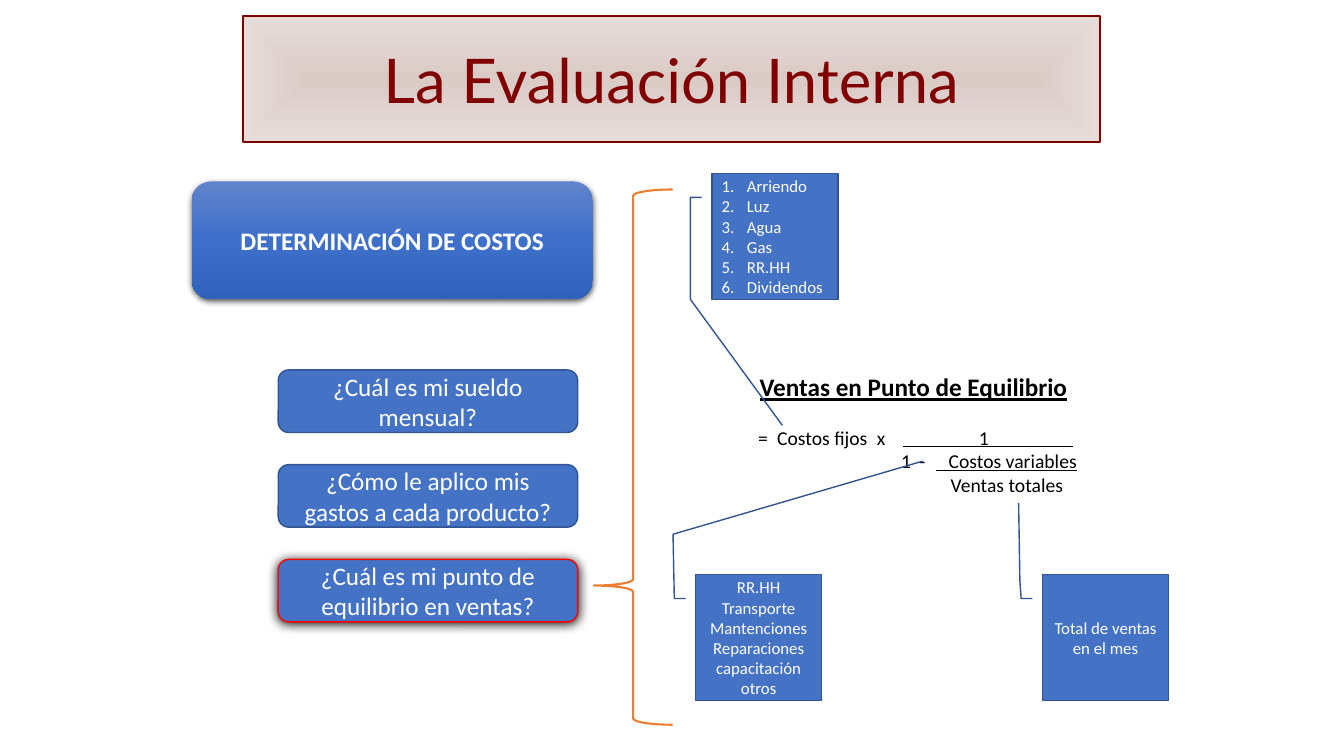
from dataclasses import dataclass
from typing import Optional

from lxml.etree import SubElement
from pptx import Presentation
from pptx.dml.color import RGBColor
from pptx.enum.shapes import MSO_CONNECTOR, MSO_SHAPE
from pptx.enum.text import MSO_ANCHOR, MSO_AUTO_SIZE, PP_ALIGN
from pptx.oxml import parse_xml
from pptx.oxml.ns import nsdecls, qn
from pptx.util import Emu, Inches, Pt


@dataclass(frozen=True)
class Theme:
    blue: str = "4472C4"
    blue_edge: str = "325491"
    red: str = "FF0000"
    maroon: str = "800000"
    orange: str = "ED7D31"
    white: str = "FFFFFF"
    black: str = "000000"
    title_stops: tuple = ((0, "DBCBC7"), (100, "E6DCDA"))
    heading_stops: tuple = ((0, "6183CB"), (50, "3E70CA"), (100, "3062BB"))
    title_font: str = "Lato"
    body_font: str = "Calibri"
    title_size: int = 44
    body_size: int = 18
    formula_size: int = 14
    callout_size: int = 12


@dataclass(frozen=True)
class Shadow:
    opacity: int
    blur: float
    distance: float


@dataclass(frozen=True)
class Question:
    text: str
    edge: str
    shadow: Optional[Shadow] = None


@dataclass(frozen=True)
class Callout:
    left: float
    top: float
    lines: tuple
    pointer: tuple
    numbered: bool = False


@dataclass(frozen=True)
class FormulaRow:
    text: str
    tabs: tuple
    space_before: int = 0


THEME = Theme()
QUESTIONS = (
    Question("¿Cuál es mi sueldo mensual?", THEME.blue_edge),
    Question("¿Cómo le aplico mis gastos a cada producto?", THEME.blue_edge),
    Question("¿Cuál es mi punto de equilibrio en ventas?", THEME.red, Shadow(100, 8.5, 1)),
)
CALLOUTS = (
    Callout(7.06, 1.72, ("Arriendo", "Luz", "Agua", "Gas", "RR.HH", "Dividendos"),
            (1, -0.17, 2, 0.56), numbered=True),
    Callout(6.9, 5.7, ("RR.HH", "Transporte", "Mantenciones", "Reparaciones",
                       "capacitación", "otros"), (-0.32, -0.18, -0.9, 1.8)),
    Callout(10.34, 5.7, ("Total de ventas en el mes",), (0.05, -0.18, -0.57, -0.19)),
)
FORMULA_ROWS = (
    FormulaRow("\t=\tCostos fijos\tx\t1", (0.13, 0.32, 1.31, 2.32), space_before=17),
    FormulaRow("\t1\t-\tCostos variables", (1.55, 1.73, 2.02)),
    FormulaRow("\tVentas totales", (2.04,)),
)
FRACTION_BARS = ((8.96, 10.64, 4.43), (9.28, 10.68, 4.67))


def add_run(paragraph, text: str, size: int, color: str, font: str = THEME.body_font,
            bold: bool = False, underline: bool = False) -> None:
    run = paragraph.add_run()
    run.text = text
    run.font.name, run.font.size = font, Pt(size)
    run.font.bold, run.font.underline = bold, underline
    run.font.color.rgb = RGBColor.from_string(color)


def set_line(line, color: str, width: float = 1) -> None:
    line.color.rgb = RGBColor.from_string(color)
    line.width = Pt(width)


def set_gradient(shape, stops: tuple, direction: str) -> None:
    """Fill with (percent, colour) stops; direction is the a:lin or a:path element."""
    shape.fill.gradient()
    current = shape._element.spPr.find(qn("a:gradFill"))
    stop_xml = "".join(f'<a:gs pos="{percent * 1000}"><a:srgbClr val="{color}"/></a:gs>'
                       for percent, color in stops)
    gradient = parse_xml(f'<a:gradFill {nsdecls("a")} rotWithShape="1">'
                         f"<a:gsLst>{stop_xml}</a:gsLst>{direction}</a:gradFill>")
    current.getparent().replace(current, gradient)


def add_shadow(shape, shadow: Shadow) -> None:
    effects = shape._element.spPr.find(qn("a:effectLst"))
    effects.append(parse_xml(
        f'<a:outerShdw {nsdecls("a")} blurRad="{Pt(shadow.blur)}" dist="{Pt(shadow.distance)}" '
        f'dir="5400000" algn="ctr" rotWithShape="0"><a:srgbClr val="{THEME.black}">'
        f'<a:alpha val="{shadow.opacity * 1000}"/></a:srgbClr></a:outerShdw>'))


def add_box(slide, kind, left: float, top: float, width: float, height: float):
    shape = slide.shapes.add_shape(kind, Inches(left), Inches(top), Inches(width), Inches(height))
    shape.shadow.inherit = False
    shape.fill.solid()
    shape.fill.fore_color.rgb = RGBColor.from_string(THEME.blue)
    set_line(shape.line, THEME.blue_edge)
    shape.text_frame.word_wrap = True
    shape.text_frame.vertical_anchor = MSO_ANCHOR.MIDDLE
    return shape


def add_title(slide) -> None:
    title = slide.shapes.title
    title.left, title.top = Inches(2.41), Inches(0.16)
    title.width, title.height = Inches(8.5), Inches(1.25)
    set_gradient(title, THEME.title_stops, '<a:path path="shape"><a:fillToRect '
                 'l="50000" t="50000" r="50000" b="50000"/></a:path>')
    set_line(title.line, THEME.maroon)
    frame = title.text_frame
    frame.auto_size = MSO_AUTO_SIZE.NONE
    frame.vertical_anchor = MSO_ANCHOR.MIDDLE
    paragraph = frame.paragraphs[0]
    paragraph.alignment = PP_ALIGN.CENTER
    add_run(paragraph, "La Evaluación Interna", THEME.title_size, THEME.maroon, THEME.title_font)


def add_heading(slide) -> None:
    heading = add_box(slide, MSO_SHAPE.ROUNDED_RECTANGLE, 1.9, 1.8, 3.98, 1.17)
    set_gradient(heading, THEME.heading_stops, '<a:lin ang="5400000" scaled="0"/>')
    heading.line.fill.background()
    add_shadow(heading, Shadow(63, 4.5, 1.5))
    paragraph = heading.text_frame.paragraphs[0]
    paragraph.alignment = PP_ALIGN.CENTER
    add_run(paragraph, "DETERMINACIÓN DE COSTOS", THEME.body_size, THEME.white, bold=True)


def add_question(slide, question: Question, top: float) -> None:
    shape = add_box(slide, MSO_SHAPE.ROUNDED_RECTANGLE, 2.76, top, 2.97, 0.62)
    set_line(shape.line, question.edge)
    if question.shadow:
        add_shadow(shape, question.shadow)
    paragraph = shape.text_frame.paragraphs[0]
    paragraph.alignment = PP_ALIGN.CENTER
    add_run(paragraph, question.text, THEME.body_size, THEME.white)


def add_formula(slide) -> None:
    box = slide.shapes.add_textbox(Inches(7.29), Inches(3.63), Inches(3.54), Inches(1.35))
    frame = box.text_frame
    frame.word_wrap = True
    frame.vertical_anchor = MSO_ANCHOR.MIDDLE
    heading = frame.paragraphs[0]
    heading.alignment = PP_ALIGN.CENTER
    add_run(heading, "Ventas en Punto de Equilibrio", THEME.body_size, THEME.black,
            bold=True, underline=True)
    for row in FORMULA_ROWS:
        paragraph = frame.add_paragraph()
        paragraph.alignment = PP_ALIGN.LEFT
        paragraph.space_before = Pt(row.space_before)
        tab_list = SubElement(paragraph._p.get_or_add_pPr(), qn("a:tabLst"))
        for position in row.tabs:
            SubElement(tab_list, qn("a:tab"), pos=str(Inches(position)), algn="l")
        add_run(paragraph, row.text, THEME.formula_size, THEME.black)
    for start, end, height in FRACTION_BARS:
        bar = slide.shapes.add_connector(MSO_CONNECTOR.STRAIGHT, Inches(start), Inches(height),
                                         Inches(end), Inches(height))
        set_line(bar.line, THEME.black)
        SubElement(bar._element.spPr, qn("a:effectLst"))


def add_callout(slide, callout: Callout) -> None:
    shape = add_box(slide, MSO_SHAPE.LINE_CALLOUT_3, callout.left, callout.top, 1.25, 1.25)
    for index, value in enumerate((0.19, -0.08, 0.19, -0.17) + callout.pointer):
        shape.adjustments[index] = value
    frame = shape.text_frame
    for index, line in enumerate(callout.lines):
        paragraph = frame.add_paragraph() if index else frame.paragraphs[0]
        paragraph.alignment = PP_ALIGN.LEFT if callout.numbered else PP_ALIGN.CENTER
        if callout.numbered:
            properties = paragraph._p.get_or_add_pPr()
            properties.set("marL", str(Inches(0.25)))
            properties.set("indent", str(Emu(-Inches(0.25))))
            SubElement(properties, qn("a:buAutoNum"), type="arabicPeriod")
        add_run(paragraph, line, THEME.callout_size, THEME.white)


def add_brace(slide) -> None:
    brace = add_box(slide, MSO_SHAPE.LEFT_BRACE, 5.89, 1.88, 0.78, 5.31)
    brace.fill.background()
    set_line(brace.line, THEME.orange, 1.5)
    brace.adjustments[0], brace.adjustments[1] = 0.08, 0.74


def main() -> None:
    presentation = Presentation()
    presentation.slide_width, presentation.slide_height = Inches(13.33), Inches(7.5)
    slide = presentation.slides.add_slide(presentation.slide_layouts[5])
    add_title(slide)
    add_heading(slide)
    for index, question in enumerate(QUESTIONS):
        add_question(slide, question, 3.67 + 0.94 * index)
    add_formula(slide)
    for callout in CALLOUTS:
        add_callout(slide, callout)
    add_brace(slide)
    presentation.save("out.pptx")


if __name__ == "__main__":
    main()
